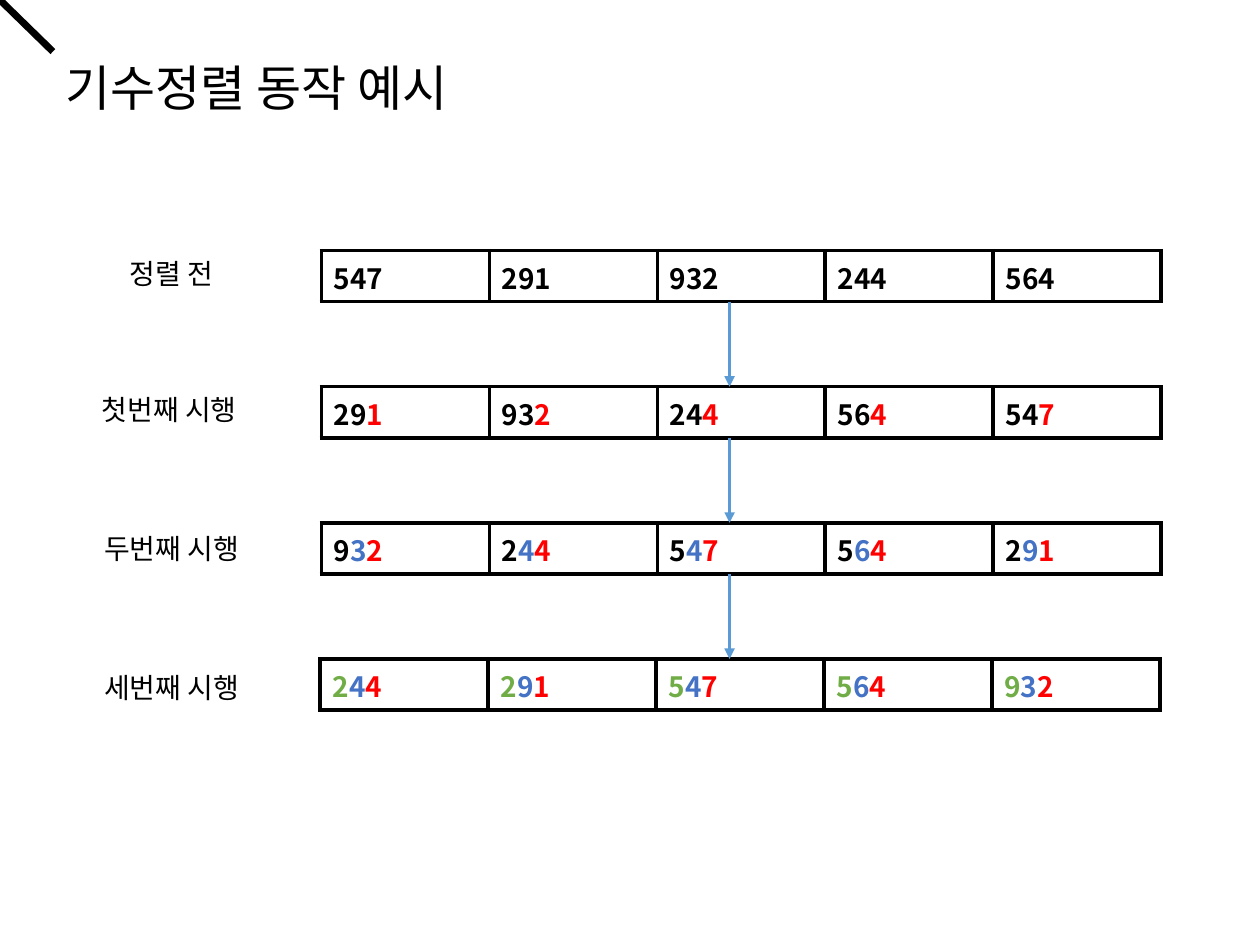
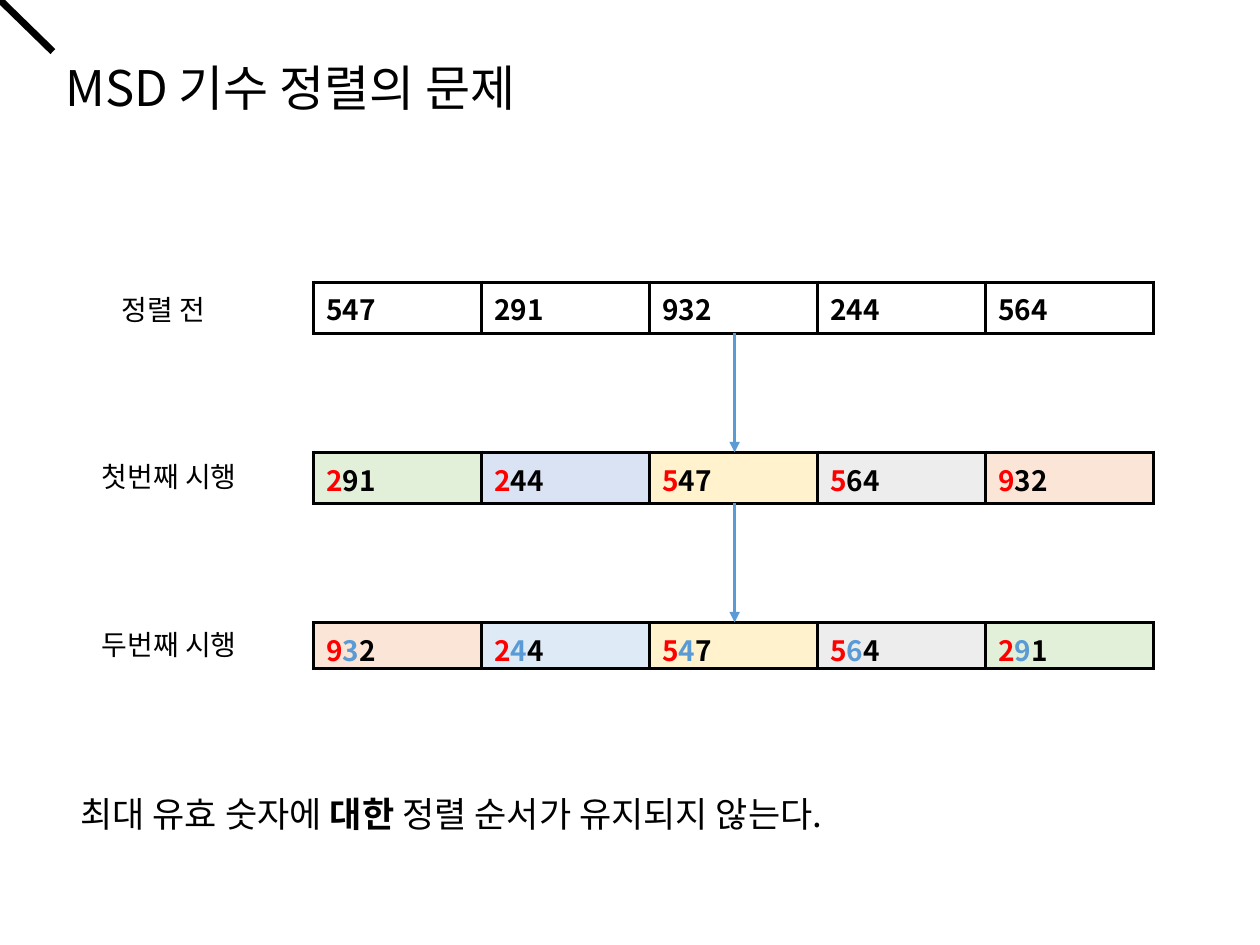
from dataclasses import dataclass
from itertools import groupby

from pptx import Presentation
from pptx.dml.color import RGBColor
from pptx.enum import shapes, text
from pptx.oxml import ns, xmlchemy as xml
from pptx.slide import Slide
from pptx.util import Pt

FONT = "Noto Sans CJK KR"
INK = {
    "black": "000000", "white": "FFFFFF", "red": "FF0000",
    "blue": "4472C4", "sky": "5B9BD5", "green": "70AD47",
    "mint": "E2F0D9", "lilac": "DAE3F3", "cream": "FFF2CC",
    "gray": "EDEDED", "peach": "FBE5D6", "ice": "DEEBF7",
}
PLAIN = ("white",) * 5
CELL = 96


@dataclass
class Label:
    words: tuple[str, ...]
    left: float
    top: float
    width: float
    height: float = 26.64
    size: int = 16
    wrap: bool = False
    bold: int = -1


@dataclass
class Step:
    name: Label
    nums: str
    tints: tuple[str, str, str]
    fills: tuple[str, ...] = PLAIN
    high: float = 29.2
    shift: float = 0


@dataclass
class Page:
    title: Label
    left: float
    top: float
    pitch: float
    axis: float
    steps: list[Step]
    notes: tuple[Label, ...] = ()


def rgb(name: str) -> RGBColor:
    return RGBColor.from_string(INK[name])


def style(run, size: int, tint: str = "black", bold: bool = False) -> None:
    font = run.font
    font.size, font.bold, font.name = Pt(size), bold, FONT
    font.color.rgb = rgb(tint)
    east = xml.OxmlElement("a:ea")
    east.set("typeface", FONT)
    font._element.find(ns.qn("a:latin")).addnext(east)


def write(slide: Slide, label: Label) -> None:
    box = slide.shapes.add_textbox(
        Pt(label.left), Pt(label.top), Pt(label.width), Pt(label.height))
    frame = box.text_frame
    frame.word_wrap = label.wrap
    frame.auto_size = text.MSO_AUTO_SIZE.SHAPE_TO_FIT_TEXT
    for i, part in enumerate(label.words):
        run = frame.paragraphs[0].add_run()
        run.text = part
        style(run, label.size, bold=i == label.bold)


def rule(slide: Slide, start: tuple[float, float], end: tuple[float, float],
         tint: str, width: float, arrow: bool = False) -> None:
    line = slide.shapes.add_connector(
        shapes.MSO_CONNECTOR.STRAIGHT, *map(Pt, start + end))
    line.line.color.rgb = rgb(tint)
    line.line.width = Pt(width)
    if arrow:
        tip = xml.OxmlElement("a:tailEnd")
        tip.set("type", "triangle")
        line.line._get_or_add_ln().append(tip)
    line._element.spPr.append(xml.OxmlElement("a:effectLst"))


def edge(cell) -> None:
    props = cell._tc.get_or_add_tcPr()
    for side in "LRTB":
        line = xml.OxmlElement(f"a:ln{side}")
        line.set("w", str(Pt(2.25)))
        fill = xml.OxmlElement("a:solidFill")
        tone = xml.OxmlElement("a:srgbClr")
        tone.set("val", INK["black"])
        fill.append(tone)
        line.append(fill)
        props.append(line)


def grid(slide: Slide, step: Step, left: float, top: float) -> None:
    nums = step.nums.split()
    table = slide.shapes.add_table(
        1, len(nums), Pt(left + step.shift), Pt(top),
        Pt(CELL * len(nums)), Pt(step.high)).table
    table.first_row = table.horz_banding = False
    for cell, num, fill in zip(table.rows[0].cells, nums, step.fills):
        edge(cell)
        cell.fill.solid()
        cell.fill.fore_color.rgb = rgb(fill)
        cell.vertical_anchor = text.MSO_ANCHOR.MIDDLE
        para = cell.text_frame.paragraphs[0]
        for tint, pairs in groupby(zip(step.tints, num), key=lambda p: p[0]):
            run = para.add_run()
            run.text = "".join(digit for _, digit in pairs)
            style(run, 16, tint, True)


def draw(deck, page: Page) -> None:
    slide = deck.slides.add_slide(deck.slide_layouts[6])
    write(slide, page.title)
    rule(slide, (0, 0), (30.24, 29.5), "black", 4)
    for i, step in enumerate(page.steps):
        top = page.top + i * page.pitch
        grid(slide, step, page.left, top)
        write(slide, step.name)
        if i:
            low = top - page.pitch + page.steps[i - 1].high
            rule(slide, (page.axis, low), (page.axis, top), "sky", 2, True)
    for note in page.notes:
        write(slide, note)


def title(words: str, width: float) -> Label:
    return Label((words,), 30.24, 29.5, width, 41, 28)


def name(words: str, left: float, top: float, width: float = 95) -> Label:
    return Label((words,), left, top, width)


START = "547 291 932 244 564"
DARK = ("black",) * 3
PAGES = [
    Page(title("기수정렬 동작 예시", 242.6), 183.6, 143.2, 77.8, 416.9, [
        Step(name("정렬 전", 67, 143.2, 67), START, DARK),
        Step(name("첫번째 시행", 51.1, 220.5), "291 932 244 564 547",
             ("black", "black", "red")),
        Step(name("두번째 시행", 52.5, 300.2), "932 244 547 564 291",
             ("black", "blue", "red")),
        Step(name("세번째 시행", 52.5, 379.5), "244 291 547 564 932",
             ("green", "blue", "red"), shift=-0.7),
    ]),
    Page(title("MSD 기수 정렬의 문제", 298.8), 179.3, 161.3, 97.2, 419.8, [
        Step(name("정렬 전", 62.6, 163.5, 67), START, DARK),
        Step(name("첫번째 시행", 51.1, 259.2), "291 244 547 564 932",
             ("red", "black", "black"),
             ("mint", "lilac", "cream", "gray", "peach")),
        Step(name("두번째 시행", 51.1, 355), "932 244 547 564 291",
             ("red", "sky", "black"),
             ("peach", "ice", "cream", "gray", "mint"), 26.5),
    ], (Label(("최대 유효 숫자에 ", "대한", " 정렬 순서가 유지되지 않는다."),
              38.9, 449.3, 634.3, 31.7, 20, True, 1),)),
]


def main() -> None:
    deck = Presentation()
    deck.slide_width, deck.slide_height = Pt(720), Pt(540)
    for page in PAGES:
        draw(deck, page)
    deck.save("out.pptx")


if __name__ == "__main__":
    main()
